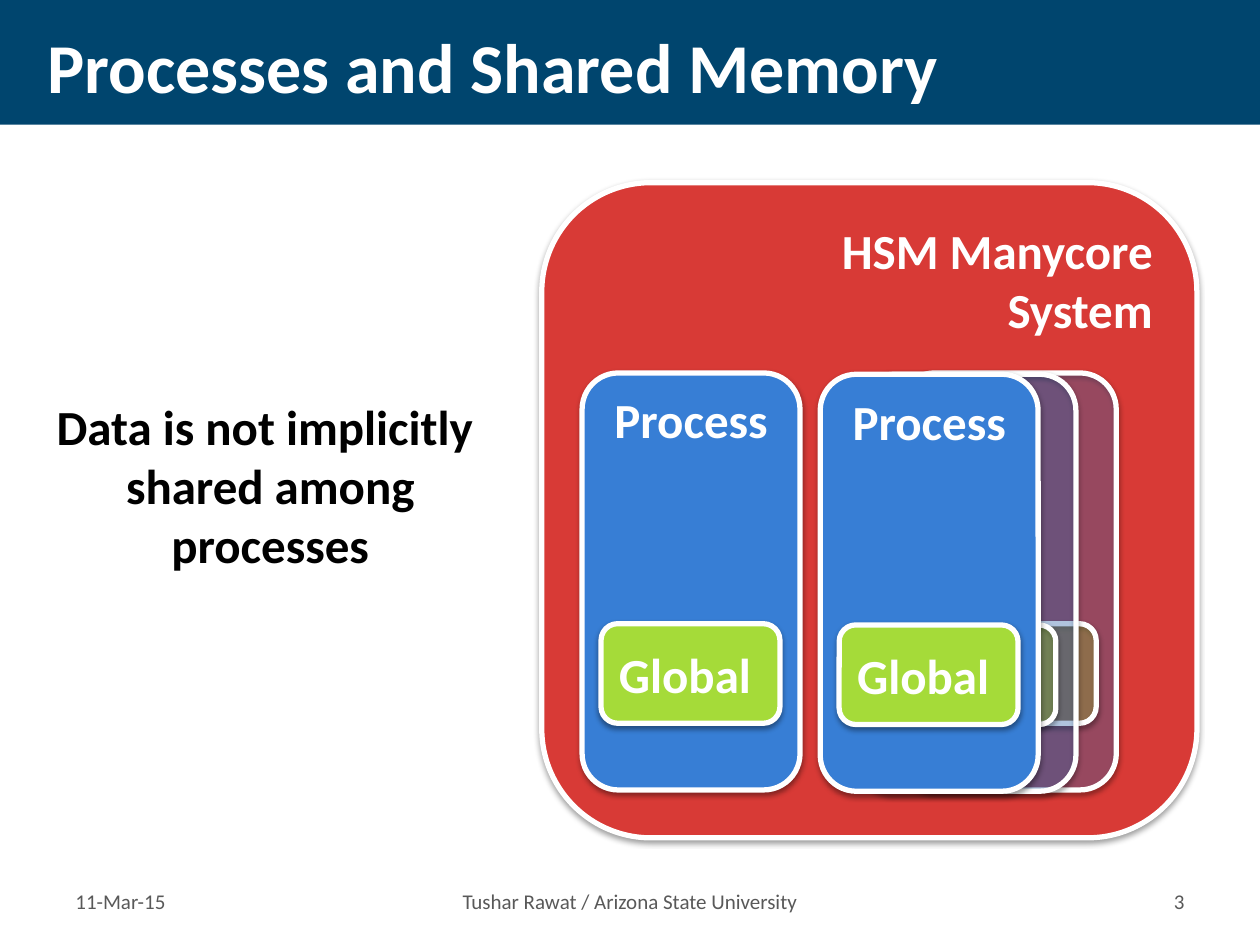
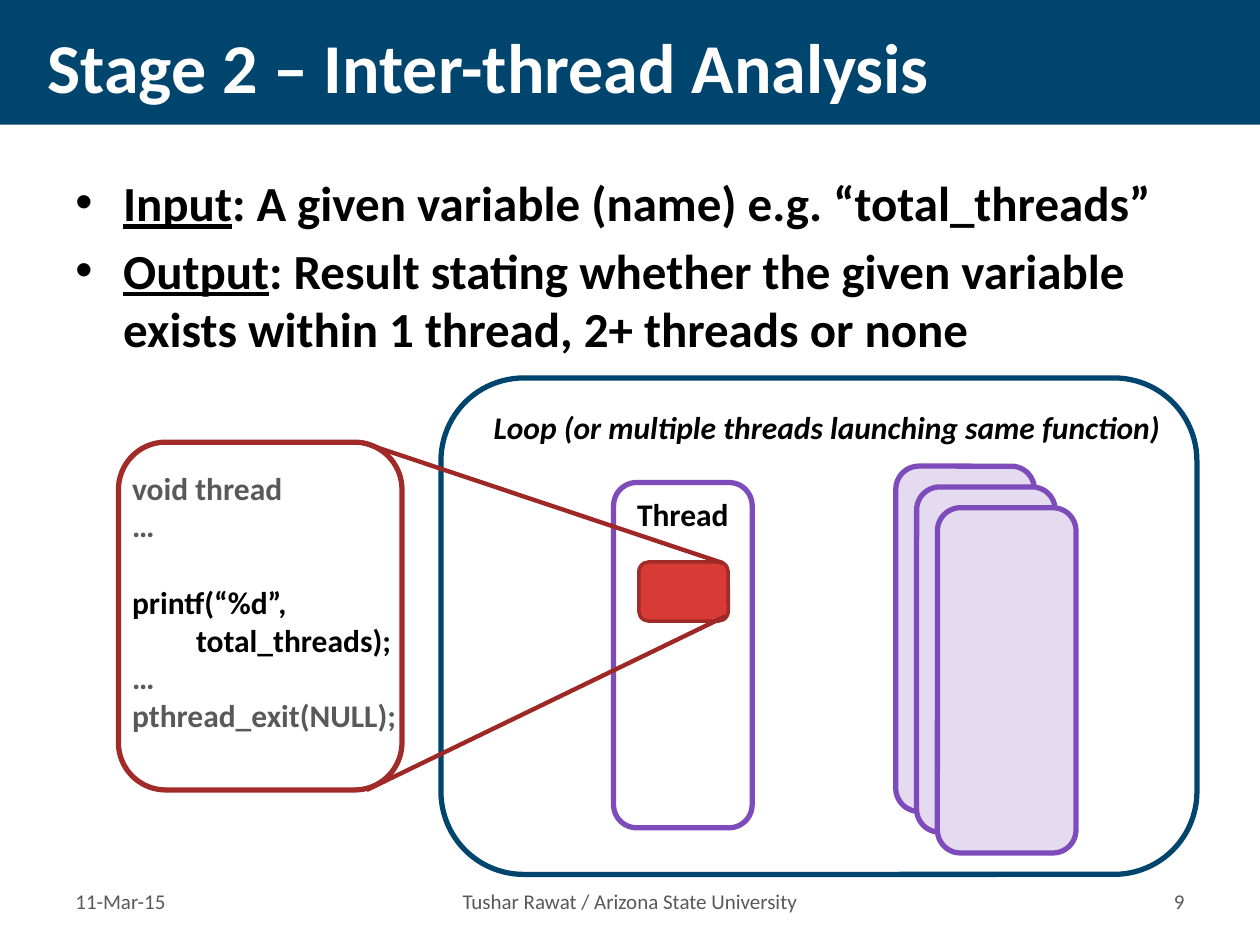
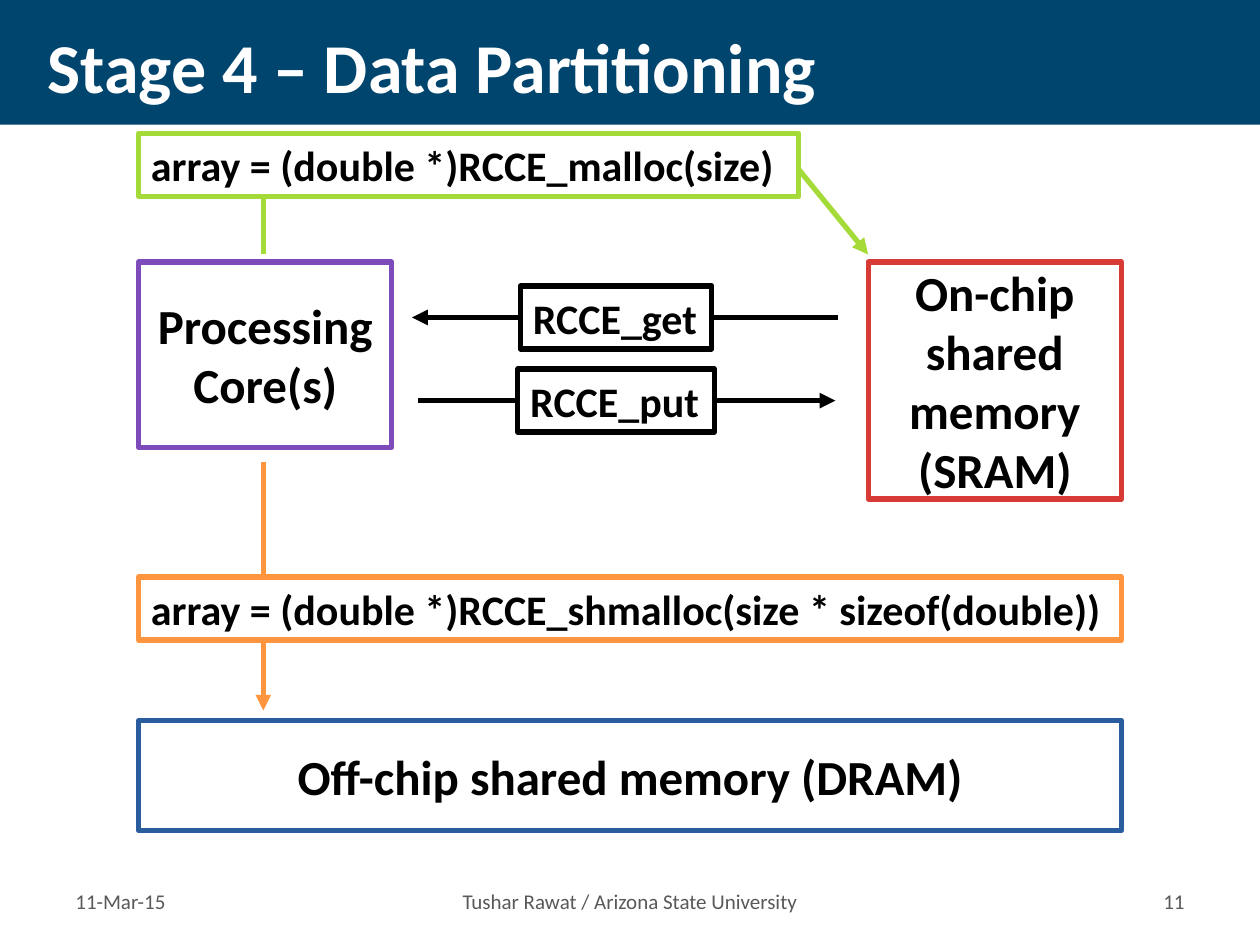
from lxml import etree
from pptx import Presentation
from pptx.dml.color import RGBColor
from pptx.enum.shapes import MSO_CONNECTOR as Connector, MSO_SHAPE as Shape
from pptx.enum.text import MSO_ANCHOR as Anchor, PP_ALIGN as Align
from pptx.oxml.ns import qn
from pptx.util import Inches, Pt

WHITE = RGBColor(0xFF, 0xFF, 0xFF)
BLACK = RGBColor(0x00, 0x00, 0x00)
GREY = RGBColor(0x59, 0x59, 0x59)
NAVY = RGBColor(0x00, 0x45, 0x6E)
RED = RGBColor(0xD8, 0x3A, 0x36)
DARK_RED = RGBColor(0xA0, 0x2B, 0x28)
CALLOUT_RED = RGBColor(0x9E, 0x28, 0x25)
BLUE = RGBColor(0x37, 0x7E, 0xD5)
DARK_BLUE = RGBColor(0x29, 0x5D, 0x9E)
GREEN = RGBColor(0xA5, 0xDB, 0x39)
PURPLE = RGBColor(0x7E, 0x4C, 0xBA)
LILAC = RGBColor(0xE5, 0xDB, 0xF1)
ORANGE = RGBColor(0xFF, 0x96, 0x3F)

FONT = "Calibri"
DATE = "11-Mar-15"
AUTHOR = "Tushar Rawat / Arizona State University"


def add_child(parent, tag, **attributes):
    return etree.SubElement(parent, qn(tag), attributes)


class Deck:
    """Holds the shared style and the slide being drawn; lengths are in inches."""

    def __init__(self):
        self.presentation = Presentation()
        self.presentation.slide_width = Inches(10)
        self.presentation.slide_height = Inches(7.5)
        self.slide = None

    def new_slide(self, title, number):
        layout = self.presentation.slide_layouts[6]
        self.slide = self.presentation.slides.add_slide(layout)
        self.box((0, 0, 10, 0.99), fill=NAVY)
        self.text((0.28, 0.1, 9.45, 0.84), title, size=40, color=WHITE,
                  anchor=Anchor.MIDDLE, wrap=False)
        footers = ((0.5, 1.19, DATE, Align.LEFT),
                   (1.85, 6.3, AUTHOR, Align.CENTER),
                   (8.31, 1.19, str(number), Align.RIGHT))
        for left, width, words, align in footers:
            self.text((left, 6.95, width, 0.4), words, size=12, color=GREY,
                      bold=False, align=align, anchor=Anchor.MIDDLE)

    def style_run(self, run, size, color, bold=True):
        font = run.font
        font.name, font.size, font.bold = FONT, Pt(size), bold
        font.color.rgb = color

    def label(self, shape, words, size=28, color=BLACK, bold=True,
              align=Align.LEFT, anchor=Anchor.TOP, wrap=True):
        """Put one paragraph per line of words into the shape."""
        frame = shape.text_frame
        frame.text = words
        frame.word_wrap = wrap
        frame.vertical_anchor = anchor
        for paragraph in frame.paragraphs:
            paragraph.alignment = align
            for run in paragraph.runs:
                self.style_run(run, size, color, bold)

    def text(self, place, words, **style):
        text_box = self.slide.shapes.add_textbox(*map(Inches, place))
        self.label(text_box, words, **style)
        return text_box

    def bullets(self, place, items):
        """Each item is an underlined term and the words that follow it."""
        frame = self.text(place, "").text_frame
        for index, (term, words) in enumerate(items):
            paragraph = frame.add_paragraph() if index else frame.paragraphs[0]
            indent = Inches(0.38)
            properties = paragraph._p.get_or_add_pPr()
            properties.set("marL", str(indent))
            properties.set("indent", str(-indent))
            add_child(properties, "a:buFont", typeface="Arial")
            add_child(properties, "a:buChar", char="•")
            paragraph.space_before = Pt(5 if index else 0)
            for part in (term, words):
                run = paragraph.add_run()
                run.text = part
                self.style_run(run, 28, BLACK)
                run.font.underline = part is term

    def box(self, place, kind=Shape.RECTANGLE, fill=None, opacity=100,
            line=None, line_width=3, shadow=False):
        shape = self.slide.shapes.add_shape(kind, *map(Inches, place))
        shape.shadow.inherit = False
        properties = shape.element.spPr
        if fill is None:
            shape.fill.background()
        else:
            shape.fill.solid()
            shape.fill.fore_color.rgb = fill
            if opacity < 100:
                color = properties.find(qn("a:solidFill"))[0]
                add_child(color, "a:alpha", val=str(opacity * 1000))
        if line is None:
            shape.line.fill.background()
        else:
            shape.line.color.rgb = line
            shape.line.width = Pt(line_width)
        if shadow:
            outer = add_child(properties.find(qn("a:effectLst")), "a:outerShdw",
                              blurRad=str(Pt(3.1)), dist=str(Pt(1.6)),
                              dir="5400000", rotWithShape="0")
            color = add_child(outer, "a:srgbClr", val=str(BLACK))
            add_child(color, "a:alpha", val="38000")
        return shape

    def rounded(self, place, **style):
        return self.box(place, Shape.ROUNDED_RECTANGLE, **style)

    def line(self, start, end, color, width=3, arrow=False):
        connector = self.slide.shapes.add_connector(
            Connector.STRAIGHT, *map(Inches, start + end))
        connector.line.color.rgb = color
        connector.line.width = Pt(width)
        properties = connector.element.spPr
        if arrow:
            add_child(properties.find(qn("a:ln")), "a:tailEnd", type="triangle")
        add_child(properties, "a:effectLst")

    def process_box(self, left, top, opacity=100):
        """A process with its global data; only opaque ones are labelled."""
        style = dict(line=WHITE, shadow=True, opacity=opacity)
        process = self.rounded((left, top, 1.73, 3.31), fill=BLUE, **style)
        data = self.rounded((left + 0.15, top + 1.99, 1.42, 0.79),
                            fill=GREEN, **style)
        if opacity == 100:
            self.label(process, "Process", color=WHITE, align=Align.CENTER)
            self.label(data, "Global ", color=WHITE, align=Align.CENTER,
                       anchor=Anchor.MIDDLE)

    def memory_box(self, place, words, color):
        shape = self.box(place, line=color)
        self.label(shape, words, align=Align.CENTER, anchor=Anchor.MIDDLE)

    def code_box(self, place, words, color, wrap=True):
        shape = self.box(place, fill=WHITE, line=color)
        self.label(shape, words, size=24, wrap=wrap)


def draw_processes(deck):
    deck.new_slide("Processes and Shared Memory", 3)
    manycore = deck.rounded((4.3, 1.45, 5.2, 5.2), fill=RED, line=WHITE, shadow=True)
    deck.label(manycore, "HSM Manycore\nSystem", color=WHITE, align=Align.RIGHT)
    deck.text((0.33, 3.1, 3.63, 1.51),
              "Data is not implicitly \nshared among\nprocesses",
              align=Align.CENTER, wrap=False)
    deck.process_box(4.62, 2.96)
    deck.process_box(7.13, 2.96, opacity=29)
    deck.process_box(6.81, 2.97, opacity=29)
    deck.process_box(6.51, 2.97)


def draw_thread_analysis(deck):
    deck.new_slide("Stage 2 – Inter-thread Analysis", 9)
    deck.bullets((0.5, 1.32, 9, 5.42), (
        ("Input", ": A given variable (name) e.g. “total_threads”"),
        ("Output", ": Result stating whether the given variable exists "
                   "within 1 thread, 2+ threads or none"),
    ))
    code = deck.text(
        (0.95, 3.67, 2.32, 2.22),
        "void thread\n…\nprintf(“%d”,\n         total_threads);\n…\npthread_exit(NULL);",
        size=18, color=GREY, wrap=False)
    print_lines = code.text_frame.paragraphs[2:4]
    print_lines[0].space_before = Pt(22)
    for paragraph in print_lines:
        paragraph.runs[0].font.color.rgb = BLACK

    loop = deck.rounded((3.5, 3, 6, 3.94), line=NAVY)
    deck.label(loop, "Loop (or multiple threads launching same function)",
               size=18, align=Align.RIGHT)
    loop.text_frame.paragraphs[0].runs[0].font.italic = True
    thread = deck.rounded((4.87, 3.83, 1.1, 2.74), line=PURPLE)
    deck.label(thread, "Thread", size=18, align=Align.CENTER)
    for index in range(3):
        offset = index * 0.33 / 2
        deck.rounded((7.11 + offset, 3.7 + offset, 1.1, 2.74),
                     fill=LILAC, line=PURPLE)
    deck.rounded((5.07, 4.46, 0.71, 0.47), fill=RED, line=DARK_RED, line_width=2)
    deck.line((2.87, 3.51), (5.74, 4.47), CALLOUT_RED, width=2.5)
    deck.line((5.76, 4.89), (2.91, 6.27), CALLOUT_RED, width=2.5)
    deck.rounded((0.94, 3.51, 2.25, 2.76), line=DARK_RED)


def draw_partitioning(deck):
    deck.new_slide("Stage 4 – Data Partitioning", 11)
    deck.memory_box((1.1, 5.72, 7.8, 0.87), "Off-chip shared memory (DRAM)", DARK_BLUE)
    deck.memory_box((6.89, 2.08, 2.01, 1.88), "On-chip shared memory (SRAM)", RED)
    deck.memory_box((1.1, 2.08, 2.01, 1.47), "Processing\nCore(s)", PURPLE)

    deck.line((3.32, 3.18), (6.63, 3.18), BLACK, arrow=True)
    deck.line((6.65, 2.52), (3.27, 2.52), BLACK, arrow=True)
    deck.code_box((4.13, 2.27, 1.52, 0.5), "RCCE_get", BLACK, wrap=False)
    deck.code_box((4.11, 2.93, 1.56, 0.5), "RCCE_put", BLACK, wrap=False)

    deck.line((2.09, 3.67), (2.09, 5.64), ORANGE, arrow=True)
    deck.code_box((1.1, 4.58, 7.8, 0.5),
                  "array = (double *)RCCE_shmalloc(size * sizeof(double))", ORANGE)

    deck.line((2.09, 2.02), (2.09, 1.24), GREEN)
    deck.line((6.18, 1.15), (6.89, 2.02), GREEN, arrow=True)
    deck.code_box((1.1, 1.06, 5.24, 0.5), "array = (double *)RCCE_malloc(size)", GREEN)


def main():
    deck = Deck()
    draw_processes(deck)
    draw_thread_analysis(deck)
    draw_partitioning(deck)
    deck.presentation.save("out.pptx")


if __name__ == "__main__":
    main()
